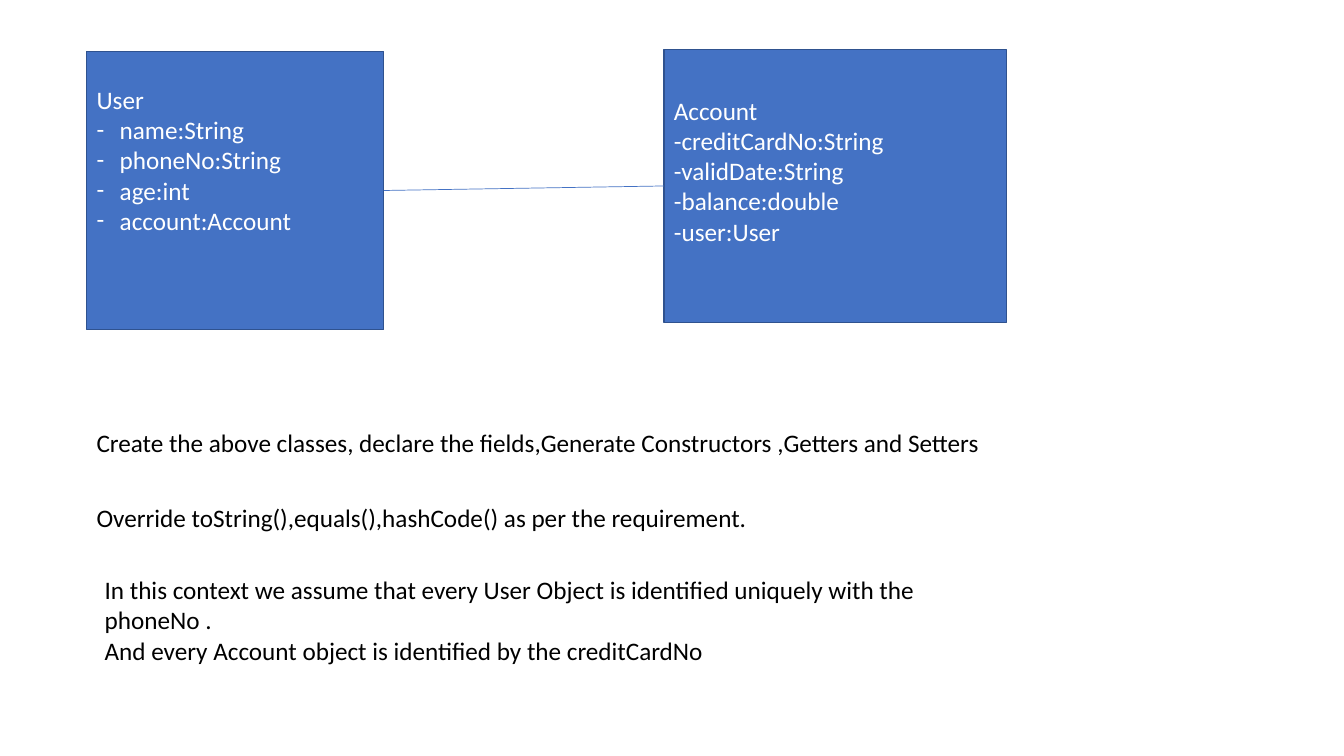
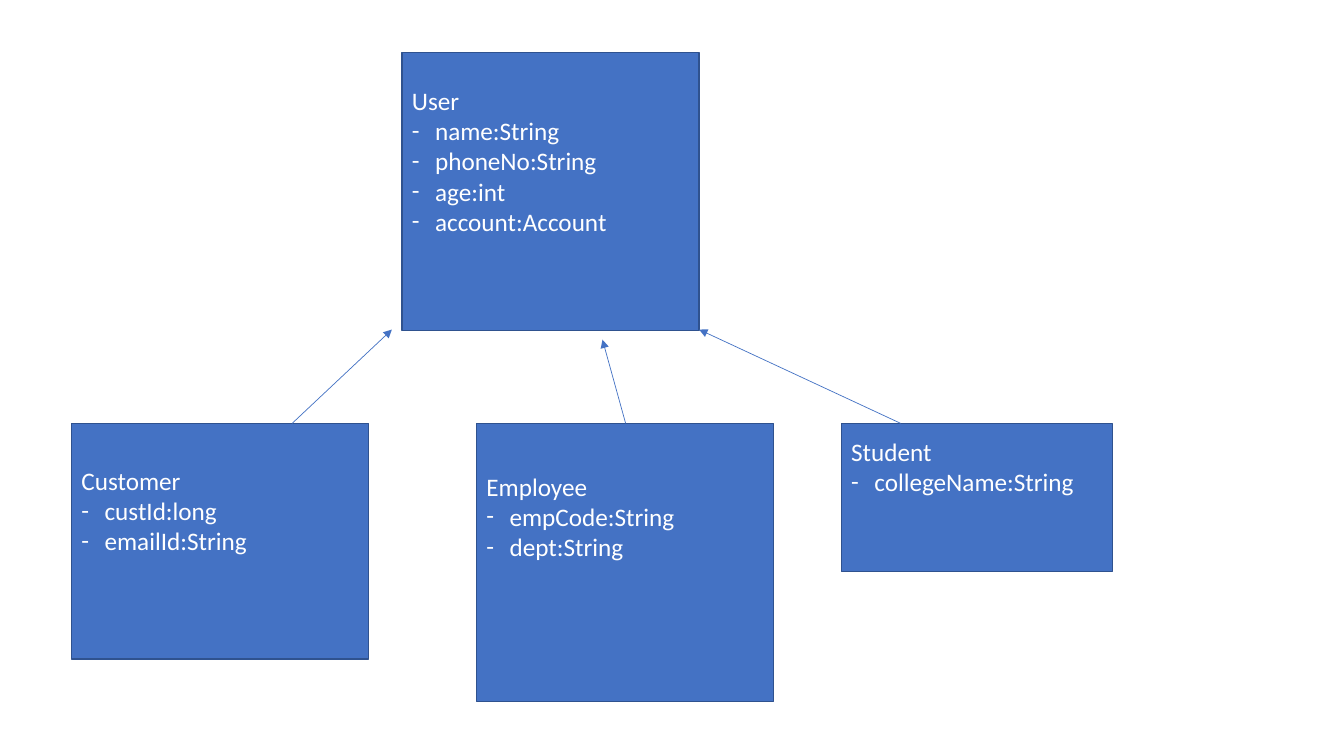
from pptx import Presentation
from pptx.dml.color import RGBColor
from pptx.enum.shapes import MSO_CONNECTOR, MSO_SHAPE
from pptx.enum.text import MSO_ANCHOR, MSO_AUTO_SIZE, PP_ALIGN
from pptx.oxml.ns import qn
from pptx.util import Inches, Pt
from lxml import etree

COLORS = {"box": "4472C4", "edge": "2F528F", "line": "4472C4",
          "light": "FFFFFF", "dark": "000000"}
FONT = {"name": "Calibri", "size": Pt(18)}
PAD = {"margin_left": 0.1, "margin_top": 0.05, "margin_right": 0.1}
ROW = 0.305     # height of one text line
INDENT = 0.23   # hanging indent of a dashed field

# Content: name, fields, dash as bullet, text lines left free below
USER = ("User", ["name:String", "phoneNo:String", "age:int",
                 "account:Account"], True, 2)
ACCOUNT = ("Account", ["-creditCardNo:String", "-validDate:String",
                       "-balance:double", "-user:User"], False, 1)
CUSTOMER = ("Customer", ["custId:long", "emailId:String"], True, 2)
EMPLOYEE = ("Employee", ["empCode:String", "dept:String"], True, 3)
STUDENT = ("Student", ["collegeName:String"], True, 2)

# Places: left, top, width, height
PAIR = [(USER, (0.86, 0.51, 2.95, 2.76)),
        (ACCOUNT, (6.59, 0.49, 3.4, 2.71))]
TREE = [(STUDENT, (8.35, 4.2, 2.69, 1.47)),
        (CUSTOMER, (0.71, 4.2, 2.95, 2.34)),
        (EMPLOYEE, (4.73, 4.2, 2.95, 2.76)),
        (USER, (3.99, 0.52, 2.95, 2.76))]
ARROWS = [((6.21, 4.2), (5.98, 3.37)),
          ((2.9, 4.2), (3.89, 3.27)),
          ((8.94, 4.2), (6.94, 3.27))]
NOTES = [
    (["Create the above classes, declare the fields,Generate Constructors ,"
      "Getters and Setters"], (0.86, 4.19, 9.29, 0.4)),
    (["Override toString(),equals(),hashCode() as per the requirement."],
     (0.86, 4.93, 9.52, 0.4)),
    (["In this context we assume that every User Object is identified "
      "uniquely with the phoneNo .",
      "And every Account object is identified by the creditCardNo"],
     (0.94, 5.65, 8.68, 1.0)),
]


def rgb(key):
    return RGBColor.from_string(COLORS[key])


def inch(values):
    return [Inches(v) for v in values]


def add_dash(para):
    props = para._p.get_or_add_pPr()
    props.set("marL", str(Inches(INDENT)))
    props.set("indent", str(-Inches(INDENT)))
    etree.SubElement(props, qn("a:buFont")).set("typeface", FONT["name"])
    etree.SubElement(props, qn("a:buChar")).set("char", "-")


def write(frame, lines, color, dashed=False, spare=0):
    frame.word_wrap = True
    for key, val in PAD.items():
        setattr(frame, key, Inches(val))
    frame.margin_bottom = Inches(0.05 + spare * ROW)
    for i, line in enumerate(lines):
        para = frame.add_paragraph() if i else frame.paragraphs[0]
        para.alignment = PP_ALIGN.LEFT
        if dashed and i:
            add_dash(para)
        run = para.add_run()
        run.text = line
        for key, val in FONT.items():
            setattr(run.font, key, val)
        run.font.color.rgb = rgb(color)


def add_class(slide, info, place):
    name, fields, dashed, spare = info
    box = slide.shapes.add_shape(MSO_SHAPE.RECTANGLE, *inch(place))
    box.shadow.inherit = False
    box.fill.solid()
    box.fill.fore_color.rgb = rgb("box")
    box.line.color.rgb = rgb("edge")
    box.line.width = Pt(1)
    box.text_frame.vertical_anchor = MSO_ANCHOR.MIDDLE
    write(box.text_frame, [name] + fields, "light", dashed, spare)
    return box


def add_note(slide, lines, place):
    frame = slide.shapes.add_textbox(*inch(place)).text_frame
    write(frame, lines, "dark")
    frame.auto_size = MSO_AUTO_SIZE.SHAPE_TO_FIT_TEXT


def add_line(slide, start=(0, 0), end=(0, 0), arrow=False):
    line = slide.shapes.add_connector(MSO_CONNECTOR.STRAIGHT,
                                      *inch(start + end))
    line.line.color.rgb = rgb("line")
    line.line.width = Pt(0.5)
    if arrow:
        stroke = line.line._get_or_add_ln()
        etree.SubElement(stroke, qn("a:tailEnd")).set("type", "triangle")
    etree.SubElement(line._element.spPr, qn("a:effectLst"))
    return line


def main():
    deck = Presentation()
    deck.slide_width, deck.slide_height = inch((13.34, 7.5))
    blank = deck.slide_layouts[6]

    # Two linked classes with the task below
    slide = deck.slides.add_slide(blank)
    user, account = [add_class(slide, *item) for item in PAIR]
    link = add_line(slide)
    link.begin_connect(user, 3)
    link.end_connect(account, 1)
    for item in NOTES:
        add_note(slide, *item)

    # Class tree
    slide = deck.slides.add_slide(blank)
    for item in TREE:
        add_class(slide, *item)
    for start, end in ARROWS:
        add_line(slide, start, end, arrow=True)

    deck.save("out.pptx")


if __name__ == "__main__":
    main()
